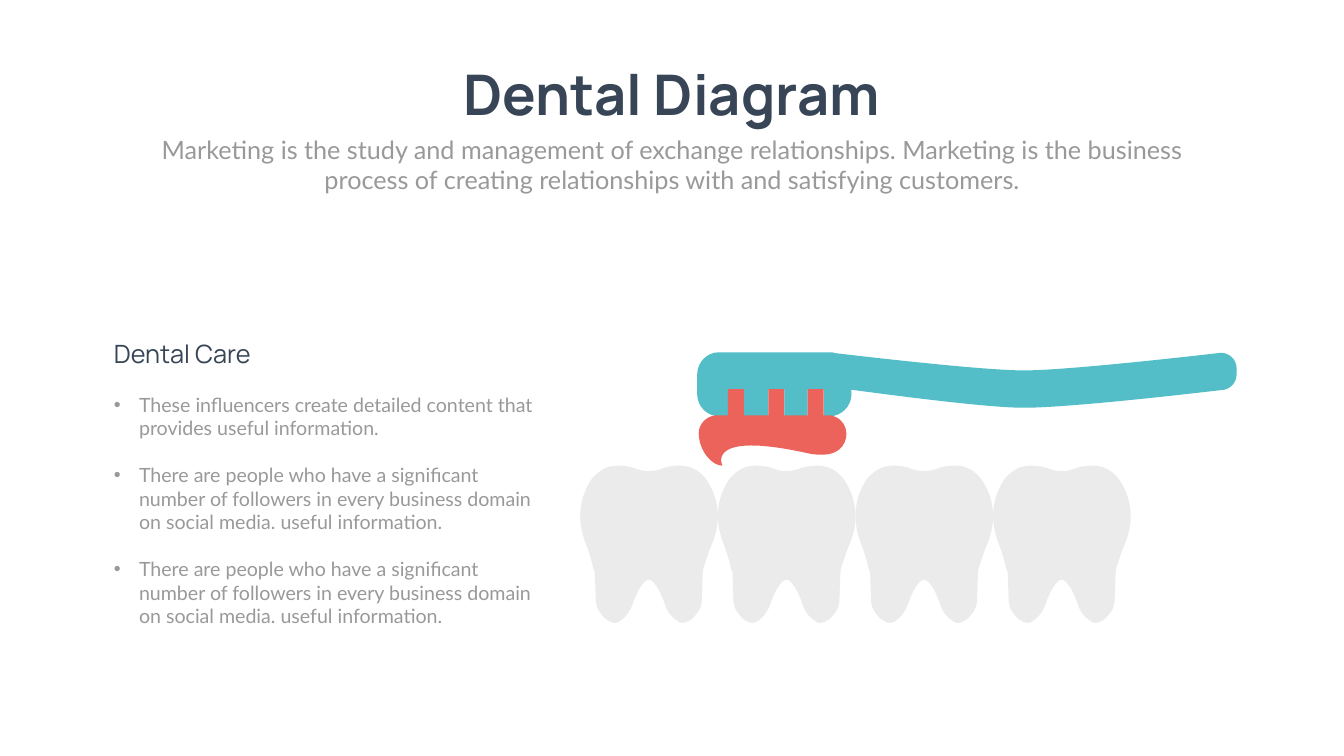
import pptx
import pptx.util
import pptx.dml.color
import pptx.enum.shapes
import pptx.enum.text
import pptx.oxml
import pptx.oxml.ns
from dataclasses import dataclass
from lxml import etree

PX = 9144  # EMU per px, 100 px to the inch
SLIDE_SIZE = 2666, 1500


@dataclass(frozen=True)
class Theme:
    paper: str = "FEFFFE"
    navy: str = "374556"
    gray: str = "999999"
    enamel: str = "EBEBEB"
    teal: str = "53BEC7"
    red: str = "EB635B"
    heading_font: str = "Manrope"
    body_font: str = "Lato"
    title_size: int = 80
    lead_size: int = 36
    bullet_size: int = 28
    bullet_gap: float = 33.6


THEME = Theme()

TITLE = "Dental Diagram"
LEAD = ("Marketing is the study and management of exchange relationships. Marketing is the "
        "business process of creating relationships with and satisfying customers.")
HEADING = "Dental Care"
FOLLOWERS = ("There are people who have a significant number of followers in every business "
             "domain on social media. useful information.")
BULLETS = ["These influencers create detailed content that provides useful information.",
           FOLLOWERS, FOLLOWERS]

# Boxes are left, top, width, height
TITLE_BOX = 865, 112, 935, 145
LEAD_BOX = 292, 261, 2082, 131
HEADING_BOX = 216, 667, 412, 71
BULLETS_BOX = 216, 774, 875, 528

# Outlines start at the first point; two numbers draw a line, six draw a cubic curve
TOOTH_COUNT, TOOTH_PITCH, TOOTH_LEFT, TOOTH_TOP = 4, 273, 1151, 924
TOOTH = [
    (273, 101), (273, 77, 266, 54, 256, 37), (254, 34, 252, 30, 249, 26),
    (236, 9, 218, 0, 200, 0), (193, 0), (184, 0, 174, 2, 167, 4),
    (147, 13, 125, 13, 105, 4), (98, 2, 88, 0, 79, 0), (73, 0),
    (58, 0, 43, 6, 31, 18), (22, 25, 16, 36, 11, 48), (4, 63, 0, 81, 0, 101),
    (0, 118, 4, 134, 9, 149), (16, 167, 22, 185, 26, 204), (29, 211), (31, 268),
    (31, 273, 33, 286, 43, 296), (48, 303, 53, 307, 59, 309),
    (65, 313, 73, 313, 79, 308), (85, 304, 90, 300, 95, 292),
    (104, 280, 104, 271, 112, 255), (114, 249, 119, 240, 127, 231),
    (132, 225, 140, 225, 145, 231), (153, 240, 158, 249, 160, 255),
    (168, 271, 168, 280, 176, 292), (182, 300, 187, 304, 193, 308),
    (198, 313, 207, 313, 213, 309), (218, 307, 224, 303, 229, 296),
    (239, 286, 241, 273, 241, 268), (243, 211), (244, 205),
    (250, 185, 256, 167, 264, 149), (269, 134, 273, 118, 273, 101),
]
HANDLE = [
    (1687, 743), (1687, 773), (1687, 773, 1947, 809, 2028, 809),
    (2122, 810, 2422, 774, 2422, 774), (2439, 774, 2453, 760, 2453, 743), (2453, 731),
    (2453, 714, 2439, 700, 2422, 700), (2422, 700, 2124, 735, 2031, 735),
    (1939, 735, 1643, 699, 1643, 699), (1668, 699, 1687, 719, 1687, 743),
]
HEAD_RIGHT = [(1645, 826), (1669, 826, 1689, 806, 1689, 782), (1689, 772),
              (1634, 772), (1634, 826)]
HEAD_LEFT = [(1383, 782), (1383, 806, 1402, 826, 1427, 826), (1444, 826),
             (1444, 772), (1383, 772)]
HEAD_TOP = [(1383, 743), (1383, 773), (1689, 773), (1689, 743),
            (1689, 719, 1669, 699, 1645, 699), (1426, 699),
            (1402, 699, 1383, 719, 1383, 743)]
PASTE = [(1423, 824), (1643, 824), (1663, 824, 1679, 841, 1679, 861),
         (1679, 880, 1665, 913, 1601, 899), (1397, 854, 1433, 924, 1433, 924),
         (1413, 924, 1387, 896, 1386, 860), (1386, 840, 1403, 824, 1423, 824)]
BRISTLE_TOP, BRISTLE_HEIGHT = 772, 54
BRISTLE_EDGES = [1444, 1476, 1524, 1556, 1602, 1634]


def rgb(color):
    return pptx.dml.color.RGBColor.from_string(color)


def emu(lengths):
    return [pptx.util.Emu(round(v * PX)) for v in lengths]


def paint(s, color):
    s.shadow.inherit = False
    s.fill.solid()
    s.fill.fore_color.rgb = rgb(color)
    s.line.fill.background()


def add_outline(shapes, outline, color, left=0, top=0):
    """Build the outline from its corners, then bend its curved segments."""
    corners = [(x + left, y + top) for x, y in (segment[-2:] for segment in outline)]
    builder = shapes.build_freeform(*corners[0], scale=float(PX))
    builder.add_line_segments(corners[1:], close=True)
    s = builder.convert_to_shape()
    paint(s, color)
    min_x, min_y = (min(axis) for axis in zip(*(segment[-2:] for segment in outline)))
    qn = pptx.oxml.ns.qn
    lines = list(s._element.iter(qn("a:lnTo")))
    for line, segment in zip(lines, outline[1:]):
        if len(segment) == 6:
            curve = etree.Element(qn("a:cubicBezTo"))
            for x, y in zip(segment[::2], segment[1::2]):
                etree.SubElement(curve, qn("a:pt"), x=str(x - min_x), y=str(y - min_y))
            line.getparent().replace(line, curve)


def add_run(p, text, font, size, color, bold=False):
    r = p.add_run()
    r.text = text
    r.font.name = font
    r.font.size = pptx.util.Pt(size)
    r.font.bold = bold
    r.font.color.rgb = rgb(color)


def add_text_frame(shapes, box):
    tf = shapes.add_textbox(*emu(box)).text_frame
    tf.word_wrap = True
    return tf


def add_bullet(p):
    pPr = p._p.get_or_add_pPr()
    pPr.set("marL", str(50 * PX))
    pPr.set("indent", str(-50 * PX))
    for tag, name, value in (("a:buFont", "typeface", "Arial"), ("a:buChar", "char", "•")):
        etree.SubElement(pPr, pptx.oxml.ns.qn(tag)).set(name, value)


def add_title(slide):
    s = slide.shapes.title
    s.left, s.top, s.width, s.height = emu(TITLE_BOX)
    tf = s.text_frame
    tf.word_wrap = False
    tf.auto_size = pptx.enum.text.MSO_AUTO_SIZE.NONE
    tf.vertical_anchor = pptx.enum.text.MSO_ANCHOR.MIDDLE
    p = tf.paragraphs[0]
    p.alignment = pptx.enum.text.PP_ALIGN.CENTER
    add_run(p, TITLE, THEME.heading_font, THEME.title_size, THEME.navy, bold=True)


def add_toothbrush(shapes):
    for outline in (HANDLE, HEAD_RIGHT, HEAD_LEFT, HEAD_TOP):
        add_outline(shapes, outline, THEME.teal)
    for i, (left, right) in enumerate(zip(BRISTLE_EDGES, BRISTLE_EDGES[1:])):
        s = shapes.add_shape(pptx.enum.shapes.MSO_SHAPE.RECTANGLE,
                             *emu((left, BRISTLE_TOP, right - left, BRISTLE_HEIGHT)))
        paint(s, THEME.teal if i % 2 else THEME.red)
    add_outline(shapes, PASTE, THEME.red)


def add_care_notes(shapes):
    tf = add_text_frame(shapes, BULLETS_BOX)
    for i, text in enumerate(BULLETS):
        p = tf.add_paragraph() if i else tf.paragraphs[0]
        add_bullet(p)
        if i:
            p.space_before = pptx.util.Pt(THEME.bullet_gap)
        add_run(p, text, THEME.body_font, THEME.bullet_size, THEME.gray)
    p = add_text_frame(shapes, HEADING_BOX).paragraphs[0]
    add_run(p, HEADING, THEME.heading_font, THEME.lead_size, THEME.navy)


def main():
    prs = pptx.Presentation()
    prs.slide_width, prs.slide_height = emu(SLIDE_SIZE)
    slide = prs.slides.add_slide(prs.slide_layouts[5])
    slide.background.fill.solid()
    slide.background.fill.fore_color.rgb = rgb(THEME.paper)

    add_title(slide)
    p = add_text_frame(slide.shapes, LEAD_BOX).paragraphs[0]
    p.alignment = pptx.enum.text.PP_ALIGN.CENTER
    add_run(p, LEAD, THEME.body_font, THEME.lead_size, THEME.gray)
    for i in range(TOOTH_COUNT):
        add_outline(slide.shapes, TOOTH, THEME.enamel, TOOTH_LEFT + i * TOOTH_PITCH, TOOTH_TOP)
    add_toothbrush(slide.shapes.add_group_shape().shapes)
    add_care_notes(slide.shapes.add_group_shape().shapes)
    prs.save("out.pptx")


if __name__ == "__main__":
    main()
